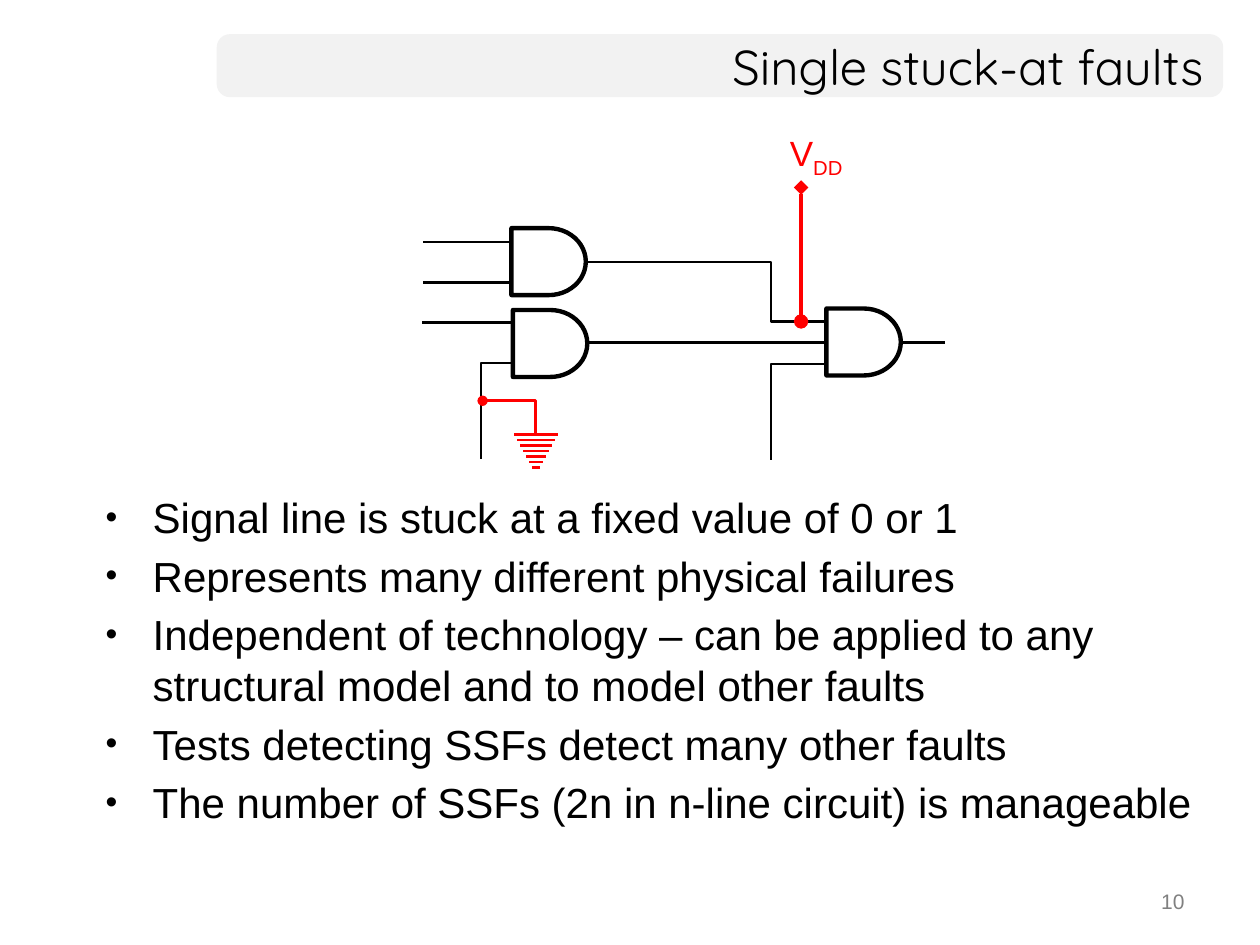
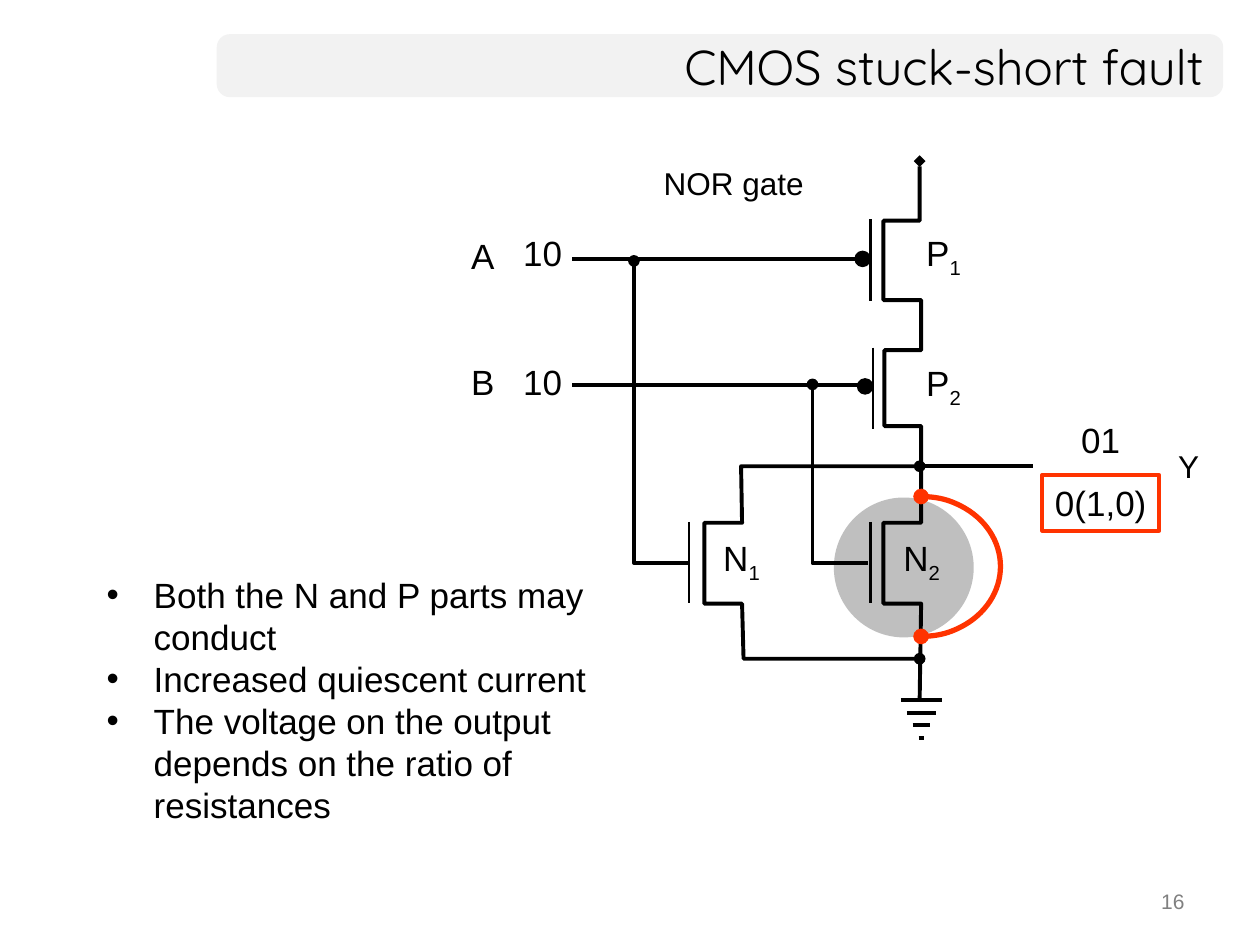
from dataclasses import dataclass

from lxml import etree
from pptx import Presentation
from pptx.dml.color import RGBColor
from pptx.enum.shapes import MSO_CONNECTOR, MSO_SHAPE
from pptx.enum.text import MSO_ANCHOR, MSO_AUTO_SIZE, PP_ALIGN
from pptx.oxml.ns import qn
from pptx.util import Cm, Pt

BLACK = RGBColor(0x00, 0x00, 0x00)
WHITE = RGBColor(0xFF, 0xFF, 0xFF)
BAND_GREY = RGBColor(0xF2, 0xF2, 0xF2)
NUMBER_GREY = RGBColor(0x80, 0x80, 0x80)
HIGHLIGHT_GREY = RGBColor(0xBF, 0xBF, 0xBF)
RED = RGBColor(0xFF, 0x00, 0x00)
ORANGE = RGBColor(0xFF, 0x33, 0x00)

BODY_FONT = "Arial"
TITLE_FONT = "Quicksand"

LEFT, CENTER, RIGHT = PP_ALIGN.LEFT, PP_ALIGN.CENTER, PP_ALIGN.RIGHT
TOP, MIDDLE = MSO_ANCHOR.TOP, MSO_ANCHOR.MIDDLE
FIT_SHAPE, NO_FIT = MSO_AUTO_SIZE.SHAPE_TO_FIT_TEXT, MSO_AUTO_SIZE.NONE
STRAIGHT = MSO_CONNECTOR.STRAIGHT
RECTANGLE, ROUNDED = MSO_SHAPE.RECTANGLE, MSO_SHAPE.ROUNDED_RECTANGLE
OVAL, ARC = MSO_SHAPE.OVAL, MSO_SHAPE.ARC
AND_GATE, DOT = MSO_SHAPE.FLOWCHART_DELAY, MSO_SHAPE.FLOWCHART_CONNECTOR
TITLE_ONLY = 5

THIN, THICK = 1.5, 2.25
BAND = (4.37, 0.69, 20.29, 1.27)
TITLE_WIDTH = 20.14
NUMBER_BOX = (18.21, 17.78, 5.92, 0.89)
LABEL_HEIGHT = 1.12
BULLET_INDENT = 0.95
BAR_LENGTH = 1.64
BUBBLE_SIZE = 0.28
GATE_SIZE = (1.5, 1.35)


@dataclass
class Wire:
    points: list
    width: float = THIN
    color: RGBColor = BLACK
    head: str = ""
    tail: str = ""


@dataclass
class Label:
    text: str
    left: float
    top: float
    width: float = 1.3
    size: int = 20
    color: RGBColor = BLACK
    align: PP_ALIGN = LEFT
    anchor: MSO_ANCHOR = TOP


@dataclass
class Ground:
    center: float
    top: float
    bars: int
    gap: float
    half_width: float
    shrink: float
    width: float
    color: RGBColor


@dataclass
class Bullets:
    box: tuple
    texts: list
    size: int
    bullet_percent: int
    space_before: float


def cms(values) -> list:
    return [Cm(value) for value in values]


def style_line(shape, width: float, color: RGBColor, head: str = "", tail: str = "") -> None:
    shape.line.color.rgb = color
    shape.line.width = Pt(width)
    outline = shape.element.spPr.find(qn("a:ln"))
    for tag, kind in (("a:headEnd", head), ("a:tailEnd", tail)):
        if kind:
            etree.SubElement(outline, qn(tag), type=kind)


def add_wire(slide, wire: Wire) -> None:
    points = [tuple(cms(point)) for point in wire.points]
    if len(points) == 2:
        line = slide.shapes.add_connector(STRAIGHT, *points[0], *points[1])
        style_line(line, wire.width, wire.color, wire.head, wire.tail)
        etree.SubElement(line.element.spPr, qn("a:effectLst"))
        return
    builder = slide.shapes.build_freeform(*points[0])
    builder.add_line_segments(points[1:], close=False)
    path = builder.convert_to_shape()
    path.fill.background()
    style_line(path, wire.width, wire.color, wire.head, wire.tail)
    path.shadow.inherit = False


def add_solid(slide, kind, box: tuple, fill=None, line=None, width: float = THIN):
    shape = slide.shapes.add_shape(kind, *cms(box))
    shape.shadow.inherit = False
    if fill is None:
        shape.fill.background()
    else:
        shape.fill.solid()
        shape.fill.fore_color.rgb = fill
    if line is None:
        shape.line.fill.background()
    else:
        style_line(shape, width, line)
    return shape


def set_font(paragraph, size: int, color: RGBColor, name: str = BODY_FONT) -> None:
    paragraph.font.name = name
    paragraph.font.size = Pt(size)
    paragraph.font.color.rgb = color


def write_label(shape, label: Label) -> None:
    frame = shape.text_frame
    frame.word_wrap = False
    frame.auto_size = FIT_SHAPE
    frame.vertical_anchor = label.anchor
    paragraph = frame.paragraphs[0]
    paragraph.alignment = label.align
    base, _, subscript = label.text.partition("_")
    paragraph.add_run().text = base
    if subscript:
        run = paragraph.add_run()
        run.text = subscript
        run.font.element.set("baseline", "-25000") if hasattr(run.font, "element") else \
            run._r.get_or_add_rPr().set("baseline", "-25000")
    set_font(paragraph, label.size, label.color)


def add_label(slide, label: Label) -> None:
    box = cms((label.left, label.top, label.width, LABEL_HEIGHT))
    write_label(slide.shapes.add_textbox(*box), label)


def add_ground(slide, ground: Ground) -> None:
    for index in range(ground.bars):
        y = ground.top + index * ground.gap
        half = ground.half_width - index * ground.shrink
        ends = [(ground.center - half, y), (ground.center + half, y)]
        add_wire(slide, Wire(ends, ground.width, ground.color))


def add_bullets(slide, bullets: Bullets) -> None:
    frame = slide.shapes.add_textbox(*cms(bullets.box)).text_frame
    frame.word_wrap = True
    for index, text in enumerate(bullets.texts):
        paragraph = frame.add_paragraph() if index else frame.paragraphs[0]
        paragraph.text = text
        if index:
            paragraph.space_before = Pt(bullets.space_before)
        properties = paragraph._p.get_or_add_pPr()
        properties.set("marL", str(Cm(BULLET_INDENT)))
        properties.set("indent", str(-Cm(BULLET_INDENT)))
        etree.SubElement(properties, qn("a:buSzPct"), val=str(bullets.bullet_percent * 1000))
        etree.SubElement(properties, qn("a:buFont"), typeface=BODY_FONT)
        etree.SubElement(properties, qn("a:buChar"), char="•")
        set_font(paragraph, bullets.size, BLACK)


def add_titled_slide(deck, heading: str, number: int):
    slide = deck.slides.add_slide(deck.slide_layouts[TITLE_ONLY])
    title = slide.shapes.title
    band = add_solid(slide, ROUNDED, BAND, BAND_GREY)
    band.adjustments[0] = 0.21
    title.element.addprevious(band.element)

    left, top, _, height = BAND
    title.left, title.top, title.width, title.height = cms((left, top, TITLE_WIDTH, height))
    title.text = heading
    title.text_frame.auto_size = NO_FIT
    title.text_frame.vertical_anchor = MIDDLE
    paragraph = title.text_frame.paragraphs[0]
    paragraph.alignment = RIGHT
    set_font(paragraph, 28, BLACK, TITLE_FONT)

    frame = slide.shapes.add_textbox(*cms(NUMBER_BOX)).text_frame
    frame.word_wrap = True
    frame.text = str(number)
    frame.paragraphs[0].alignment = RIGHT
    set_font(frame.paragraphs[0], 12, NUMBER_GREY)
    return slide


def build_single_stuck_at(deck) -> None:
    slide = add_titled_slide(deck, "Single stuck-at faults", 10)
    add_bullets(slide, Bullets((1.88, 9.78, 22.63, 7.65), [
        "Signal line is stuck at a fixed value of 0 or 1",
        "Represents many different physical failures",
        "Independent of technology – can be applied to any structural model "
        "and to model other faults",
        "Tests detecting SSFs detect many other faults",
        "The number of SSFs (2n in n-line circuit) is manageable",
    ], 24, 80, 4.8))
    wires = [
        Wire([(11.53, 6.91), (19.05, 6.91)]),
        Wire([(11.4, 5.28), (15.54, 5.28), (15.54, 6.48), (16.97, 6.48)]),
        Wire([(10.9, 6.5), (8.51, 6.5)]),
        Wire([(16.81, 7.34), (15.54, 7.34), (15.54, 9.27)]),
        Wire([(10.62, 7.32), (9.7, 7.32), (9.7, 9.25)]),
        Wire([(10.92, 4.88), (8.53, 4.88)]),
        Wire([(10.92, 5.69), (8.53, 5.69)]),
        Wire([(10.8, 8.74), (10.8, 8.08), (9.73, 8.08)], THIN, RED, tail="oval"),
        Wire([(16.15, 6.48), (16.15, 3.78)], 2.75, RED, "oval", "diamond"),
    ]
    for wire in wires:
        add_wire(slide, wire)
    add_ground(slide, Ground(10.81, 8.76, 7, 0.11, 0.44, 0.06, THIN, RED))
    add_label(slide, Label("V_DD", 15.39, 2.57, 2.13, color=RED, align=CENTER, anchor=MIDDLE))
    for corner in ((10.34, 6.25), (16.66, 6.22), (10.31, 4.6)):
        add_solid(slide, AND_GATE, corner + GATE_SIZE, WHITE, BLACK, 2.5)


def build_stuck_short(deck) -> None:
    slide = add_titled_slide(deck, "CMOS stuck-short fault", 16)
    add_solid(slide, OVAL, (16.81, 10.03, 2.82, 2.82), HIGHLIGHT_GREY)
    for x, top in ((17.55, 10.52), (17.55, 4.42), (17.6, 7.01), (13.89, 10.52)):
        add_wire(slide, Wire([(x, top), (x, top + BAR_LENGTH)]))
    for corner in ((17.25, 5.08), (17.3, 7.65)):
        add_solid(slide, DOT, corner + (BUBBLE_SIZE, BUBBLE_SIZE), BLACK, BLACK)

    supply_to_ground = [
        (18.54, 3.25), (18.54, 4.45), (17.81, 4.45), (17.81, 6.05), (18.57, 6.05),
        (18.57, 7.06), (17.83, 7.06), (17.83, 8.59), (18.57, 8.59), (18.57, 10.54),
        (17.81, 10.54), (17.81, 12.17), (18.57, 12.17), (18.54, 14.1),
    ]
    parallel_n1 = [
        (18.54, 9.4), (14.94, 9.4), (14.96, 10.54), (14.2, 10.54),
        (14.2, 12.17), (14.96, 12.17), (14.99, 13.28), (18.54, 13.28),
    ]
    wires = [
        Wire(supply_to_ground, THICK, head="diamond"),
        Wire([(12.78, 5.26), (12.78, 11.35), (13.89, 11.35)], THICK, head="oval"),
        Wire([(17.32, 5.23), (11.53, 5.23)], THICK),
        Wire([(17.32, 7.77), (11.53, 7.77)], THICK),
        Wire(parallel_n1, THICK, head="oval", tail="oval"),
        Wire([(16.38, 7.75), (16.38, 11.35), (17.5, 11.35)], THICK, head="oval"),
        Wire([(18.62, 9.4), (20.83, 9.4)], THICK),
    ]
    for wire in wires:
        add_wire(slide, wire)
    add_ground(slide, Ground(18.57, 14.12, 4, 0.25, 0.41, 0.12, THICK, BLACK))

    short = slide.shapes.add_shape(ARC, *cms((16.97, 10.01, 3.2, 2.82)))
    short.adjustments[0], short.adjustments[1] = 162, 54
    short.fill.background()
    short.shadow.inherit = False
    style_line(short, 3, ORANGE, "oval", "oval")

    labels = [
        Label("NOR gate", 13.13, 3.18, 3.35, 18),
        Label("P_1", 18.42, 4.55, 1.24),
        Label("P_2", 18.42, 7.16, 1.24),
        Label("N_2", 17.96, 10.69),
        Label("N_1", 14.33, 10.69),
        Label("10", 10.29, 4.55, align=CENTER),
        Label("10", 10.29, 7.14, align=CENTER),
        Label("01", 21.54, 8.31, align=CENTER),
        Label("A", 9.25, 4.6, 1.04),
        Label("B", 9.25, 7.14, 1.0),
        Label("Y", 23.5, 8.89, 0.97, 18),
    ]
    for label in labels:
        add_label(slide, label)
    faulty = Label("0(1,0)", 21.01, 9.58, 2.36, align=CENTER)
    faulty_box = (faulty.left, faulty.top, faulty.width, LABEL_HEIGHT)
    write_label(add_solid(slide, RECTANGLE, faulty_box, line=ORANGE, width=THICK), faulty)
    add_bullets(slide, Bullets((1.9, 11.43, 10.87, 5.38), [
        "Both the N and P parts may conduct",
        "Increased quiescent current",
        "The voltage on the output depends on the ratio of resistances",
    ], 20, 100, 0))


def main() -> None:
    deck = Presentation()
    deck.slide_width, deck.slide_height = Cm(25.4), Cm(19.05)
    build_single_stuck_at(deck)
    build_stuck_short(deck)
    deck.save("out.pptx")


if __name__ == "__main__":
    main()
